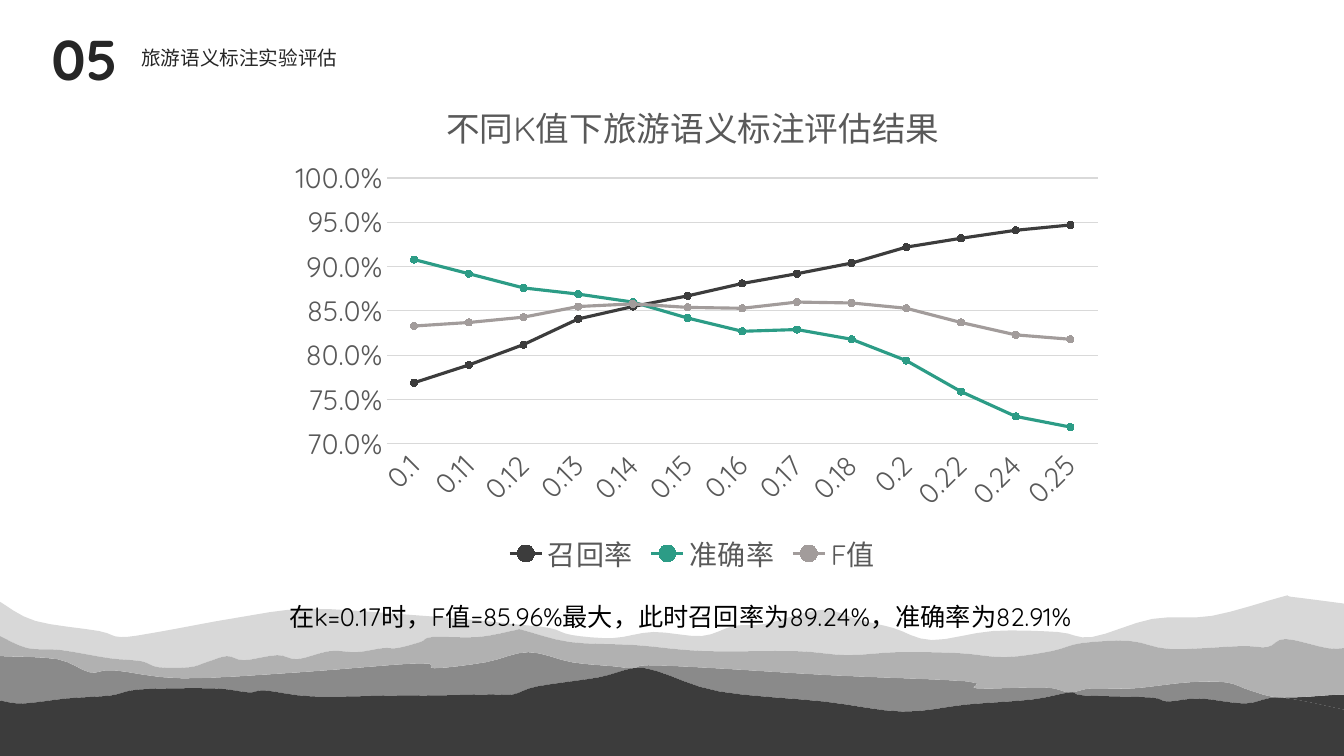
from lxml.etree import SubElement
from pptx import Presentation
from pptx.chart.data import CategoryChartData
from pptx.dml.color import RGBColor
from pptx.enum.chart import XL_CHART_TYPE, XL_LEGEND_POSITION, XL_MARKER_STYLE, XL_TICK_MARK
from pptx.enum.text import MSO_ANCHOR, MSO_AUTO_SIZE, PP_ALIGN
from pptx.oxml import parse_xml
from pptx.oxml.ns import nsdecls, qn
from pptx.util import Inches, Pt

# Content
FONT = "Quicksand"
COLORS = {"ink": "262626", "black": "000000", "label": "595959", "grid": "D9D9D9",
          "light": "D8D8D8", "mid": "B1B1B1", "gray": "8A8A8A", "dark": "3C3C3C",
          "green": "2C9C86", "taupe": "A29C9B"}
NUMBER = "05"
HEADING = "旅游语义标注实验评估"
CAPTION = "在k=0.17时，F值=85.96%最大，此时召回率为89.24%，准确率为82.91%"
CHART_TITLE = "不同K值下旅游语义标注评估结果"
CATS = ["0.1", "0.11", "0.12", "0.13", "0.14", "0.15", "0.16", "0.17", "0.18",
        "0.2", "0.22", "0.24", "0.25"]
SERIES = [
    ("召回率", "dark", [0.769, 0.789, 0.812, 0.841, 0.855, 0.867, 0.881, 0.892,
                     0.904, 0.922, 0.932, 0.941, 0.947]),
    ("准确率", "green", [0.908, 0.892, 0.876, 0.869, 0.86, 0.842, 0.827, 0.829,
                      0.818, 0.794, 0.759, 0.731, 0.719]),
    ("F值", "taupe", [0.833, 0.837, 0.843, 0.855, 0.858, 0.854, 0.853, 0.86,
                     0.859, 0.853, 0.837, 0.823, 0.818]),
]
PLOT = {"x": 0.13, "y": 0.2, "w": 0.86, "h": 0.53}

# Mountain ridges from back to front, each left to right
BACK = [
    (0, 5.97), (0.35, 6.16), (0.98, 6.26), (1.2, 6.32), (1.57, 6.27), (2.34, 6.13),
    (3.05, 6.04), (4.07, 6.1), (4.8, 6.16), (5.07, 6.19), (5.45, 6.23), (5.67, 6.3),
    (6.08, 6.33), (6.48, 6.27), (6.96, 6.31), (7.28, 6.21), (7.59, 6.19), (8.15, 6.05),
    (8.52, 6.15), (8.86, 6.23), (9.24, 6.35), (9.85, 6.26), (10.49, 6.27), (10.83, 6.32),
    (11.43, 6.14), (12.02, 6.11), (12.72, 5.92), (12.8, 5.92), (13.27, 5.98), (13.33, 5.99)]
UPPER = [
    (0, 6.31), (0.27, 6.43), (0.61, 6.45), (1.08, 6.53), (1.4, 6.56), (1.57, 6.62),
    (1.88, 6.62), (2.05, 6.57), (2.25, 6.51), (2.42, 6.55), (2.75, 6.5), (2.95, 6.54),
    (3.27, 6.46), (3.54, 6.47), (3.8, 6.43), (3.94, 6.43), (4.17, 6.37), (4.29, 6.32),
    (4.75, 6.32), (5.12, 6.25), (5.18, 6.25), (5.65, 6.37), (6.3, 6.4), (6.98, 6.46),
    (7.89, 6.46), (8.4, 6.5), (8.91, 6.47), (9.51, 6.48), (9.97, 6.52), (10.43, 6.46),
    (10.73, 6.38), (11.21, 6.36), (11.61, 6.44), (12.31, 6.41), (12.57, 6.42),
    (12.75, 6.34), (13.16, 6.43), (13.33, 6.43)]
LOWER = [
    (0, 6.51), (0.02, 6.51), (0.57, 6.54), (0.89, 6.67), (1.13, 6.65), (1.81, 6.73),
    (2.97, 6.67), (4.16, 6.58), (4.31, 6.63), (4.82, 6.57), (5.24, 6.47), (5.67, 6.57),
    (6.08, 6.61), (6.28, 6.63), (6.43, 6.6), (7.1, 6.63), (8.25, 6.7), (9.59, 6.76),
    (9.69, 6.83), (10.36, 6.82), (10.61, 6.87), (10.82, 6.83), (11.24, 6.83),
    (11.78, 6.77), (12.16, 6.77), (12.4, 6.85), (12.7, 6.92), (13.29, 6.89), (13.33, 6.89)]
FRONT = [
    (0, 6.95), (0.23, 6.98), (0.66, 6.93), (1.1, 6.9), (1.39, 6.84), (2.12, 6.83),
    (2.47, 6.87), (2.63, 6.85), (3.1, 6.91), (3.95, 6.9), (4.28, 6.9), (4.87, 6.89),
    (5.09, 6.89), (5.33, 6.81), (5.94, 6.72), (6.28, 6.63), (6.52, 6.66), (7.13, 6.86),
    (8.17, 6.96), (8.95, 7.06), (9.59, 6.99), (10.24, 6.94), (10.61, 6.87), (10.75, 6.9),
    (11.41, 6.92), (11.58, 6.96), (11.9, 6.93), (12.35, 6.98), (12.7, 6.92), (13.33, 7.04)]
FLOOR = [(0, 7.5), (13.33, 7.5)]
CUTS = [0, 6.28, 10.61, 12.7, 13.33]  # where the lower and front ridges meet


def color(name):
    return RGBColor.from_string(COLORS[name])


def style(font, size, tint, bold=False):
    font.name, font.size, font.bold = FONT, Pt(size), bold
    font.color.rgb = color(tint)


def write(shape, text, box, size=18, tint="black", bold=False, anchor=MSO_ANCHOR.TOP,
          lead=None, before=None):
    shape.left, shape.top, shape.width, shape.height = map(Inches, box)
    frame = shape.text_frame
    frame.word_wrap, frame.auto_size = True, MSO_AUTO_SIZE.NONE
    frame.vertical_anchor = anchor
    para = frame.paragraphs[0]
    para.alignment, para.line_spacing = PP_ALIGN.LEFT, lead
    if before:
        para.space_before = Pt(before)
    run = para.add_run()
    run.text = text
    style(run.font, size, tint, bold)
    return para


def smooth(ridge, steps=4):
    """Round a ridge with a Catmull-Rom curve through its points."""
    ends = [ridge[0], *ridge, ridge[-1]]
    out = [ridge[0]]
    for a, b, c, d in zip(ends, ends[1:], ends[2:], ends[3:]):
        for i in range(1, steps):
            t = i / steps
            out.append(tuple(
                q + t / 2 * (r - p + t * (2 * p - 5 * q + 4 * r - s
                                          + t * (3 * (q - r) + s - p)))
                for p, q, r, s in zip(a, b, c, d)))
        out.append(c)
    return out


def band(top, base, tint):
    pts = [(Inches(x), Inches(y)) for x, y in top + base[::-1]]
    pen = slide.shapes.build_freeform(*pts[0])
    pen.add_line_segments(pts[1:], close=True)
    shape = pen.convert_to_shape()
    shape.shadow.inherit = False
    shape.fill.solid()
    shape.fill.fore_color.rgb = color(tint)
    shape.line.fill.background()


deck = Presentation()
deck.slide_width, deck.slide_height = Inches(13.33), Inches(7.5)
slide = deck.slides.add_slide(deck.slide_layouts[1])

# Mountains
back, upper, lower, front = map(smooth, (BACK, UPPER, LOWER, FRONT))
band(back, upper, "light")
for lo, hi, tint in zip(CUTS, CUTS[1:], ["gray"] * 3 + ["dark"]):
    band(*([p for p in ridge if lo <= p[0] <= hi] for ridge in (lower, front)), tint)
band(upper, lower, "mid")
band(front, FLOOR, "dark")

# Heading
num = write(slide.placeholders[1], NUMBER, (0.41, 0.27, 0.88, 0.64), size=40,
            tint="ink", bold=True, lead=0.9, before=10)
props = num._p.get_or_add_pPr()
props.set("marL", "0")
props.set("indent", "0")
SubElement(props, qn("a:buNone"))
write(slide.shapes.title, HEADING, (1.3, 0.4, 2.44, 0.37), size=14, tint="ink",
      anchor=MSO_ANCHOR.MIDDLE, lead=0.9, before=10)

# Chart
data = CategoryChartData(number_format="0.0%")
data.categories = CATS
for name, tint, vals in SERIES:
    data.add_series(name, vals)
chart = slide.shapes.add_chart(XL_CHART_TYPE.LINE_MARKERS, Inches(2.77), Inches(0.77),
                               Inches(8.2), Inches(4.98), data).chart
style(chart.font, 20, "black")
chart.has_title = True
title = chart.chart_title.text_frame
title.text = CHART_TITLE
style(title.paragraphs[0].runs[0].font, 24, "label")
chart.chart_title.include_in_layout = False
chart.has_legend = True
chart.legend.position = XL_LEGEND_POSITION.BOTTOM
chart.legend.include_in_layout = False
style(chart.legend.font, 20, "label")

cat, val = chart.category_axis, chart.value_axis
for axis in (cat, val):
    axis.major_tick_mark = axis.minor_tick_mark = XL_TICK_MARK.NONE
    style(axis.tick_labels.font, 20, "label")
val.minimum_scale, val.maximum_scale, val.major_unit = 0.7, 1, 0.05
val.tick_labels.number_format = "0.0%"
val.tick_labels.number_format_is_linked = False
val.format.line.fill.background()
for line in (cat.format.line, val.major_gridlines.format.line):
    line.color.rgb, line.width = color("grid"), Pt(0.75)
cat._element.find(qn("c:txPr")).find(qn("a:bodyPr")).set("rot", "-2700000")

plot = chart.plots[0]
plot.vary_by_categories = False
for item, (name, tint, vals) in zip(plot.series, SERIES):
    item.smooth = False
    item.format.line.color.rgb, item.format.line.width = color(tint), Pt(2.25)
    mark = item.marker
    mark.style, mark.size = XL_MARKER_STYLE.CIRCLE, 5
    mark.format.fill.solid()
    mark.format.fill.fore_color.rgb = mark.format.line.color.rgb = color(tint)

# Fixed plot area inside the chart
area = chart._chartSpace.chart.plotArea
for old in area.findall(qn("c:layout")):
    area.remove(old)
sizes = "".join(f'<c:{key} val="{num}"/>' for key, num in PLOT.items())
area.insert(0, parse_xml(
    f'<c:layout {nsdecls("c")}><c:manualLayout><c:layoutTarget val="inner"/>'
    f'<c:xMode val="edge"/><c:yMode val="edge"/>{sizes}</c:manualLayout></c:layout>'))

# Caption
note = slide.shapes.add_textbox(0, 0, 0, 0)
write(note, CAPTION, (2.77, 5.92, 8.27, 0.4))

deck.save("out.pptx")
